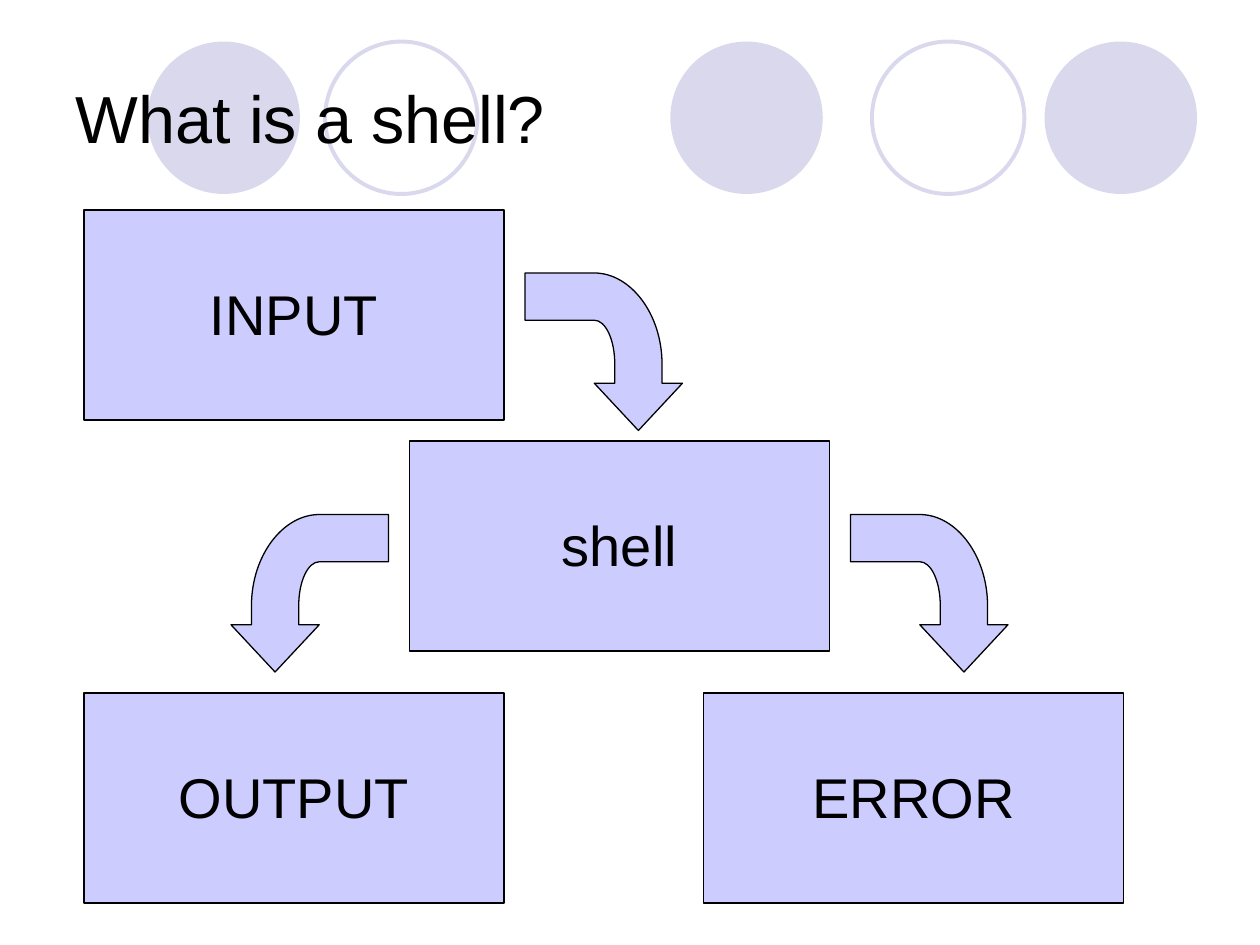
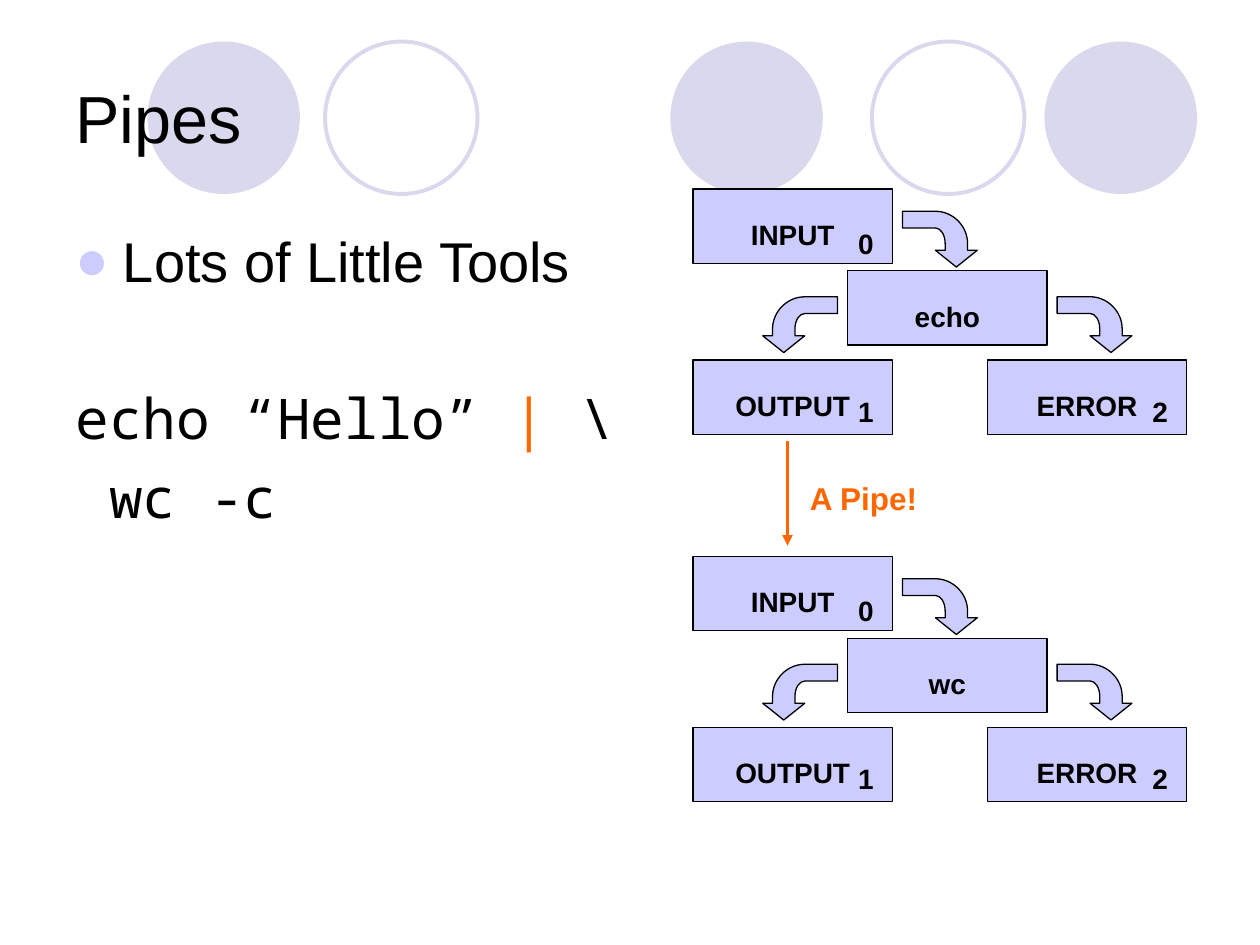
from lxml import etree
from pptx import Presentation, util as u
from pptx.dml.color import RGBColor
from pptx.enum import shapes, text
from pptx.oxml.ns import qn

BLACK = RGBColor(0, 0, 0)
LAVENDER = RGBColor(0xCC, 0xCC, 0xFF)
PALE = RGBColor(0xD9, 0xD8, 0xEC)
ORANGE = RGBColor(0xFF, 0x66, 0x00)
SANS, MONO = "Arial", "Noto Sans Mono"

CIRCLE_SIZE = 1.21
CIRCLES = [(5.32, True), (8.29, True), (1.17, True), (6.92, False), (2.58, False)]

SHELL_FLOW = dict(left=2 / 3, top=5 / 3, box=(10 / 3, 5 / 3), size=32, label_height=0.63)
PIPE_FLOW = dict(left=5.5, box=(19 / 12, 0.59), size=16, label_height=0.37, bold=True)
PIPE_STAGES = [("echo", 1.5), ("wc", 53 / 12)]
STREAM_NUMBERS = [("0", 0, 0.42), ("1", 0, 2.68), ("2", 1.475, 2.68)]

BULLET = "Lots of Little Tools"
COMMAND = [
    (51, [("echo “Hello” ", BLACK), ("|", ORANGE), (" \\", BLACK)]),
    (7, [(" wc -c", BLACK)]),
]

BOX_CELLS = [(0, 0), (0.775, 1.1), (0, 2.3), (1.475, 2.3)]
ARROW_CELLS = [(1.05, 0.3, False), (1.825, 1.45, False), (0.35, 1.45, True)]
ARROW_SHARE = (0.375, 0.75)
NUMBER_COLUMN, NUMBER_WIDTH = 0.74, 0.4

ARROW_TIP = (1, 0.28)
ARROW_SIDES = [
    [(0.7, 0), (0.7, 0.13), (0.58, 0.13)],
    [(0.26, 0.13), (0, 0.33), (0, 0.56)],
    [(0, 1), (0.3, 1), (0.3, 0.56)],
    [(0.3, 0.49), (0.42, 0.43), (0.58, 0.43)],
    [(0.7, 0.43), (0.7, 0.56)],
]


def inches(*lengths):
    return [u.Inches(length) for length in lengths]


def style(run, size, color=BLACK, font=SANS, bold=False):
    run.font.size, run.font.name, run.font.bold = u.Pt(size), font, bold
    run.font.color.rgb = color


def paint(shape, fill=None, line=None, weight=0.75):
    shape.shadow.inherit = False
    if fill is None:
        shape.fill.background()
    else:
        shape.fill.solid()
        shape.fill.fore_color.rgb = fill
    if line is None:
        shape.line.fill.background()
    else:
        shape.line.color.rgb = line
        shape.line.width = u.Pt(weight)


def add_label(slide, words, area, size, color=BLACK, bold=False,
              align=text.PP_ALIGN.CENTER):
    frame = slide.shapes.add_textbox(*inches(*area)).text_frame
    frame.word_wrap = True
    frame.text = words
    frame.paragraphs[0].alignment = align
    style(frame.paragraphs[0].runs[0], size, color, bold=bold)


def add_bent_arrow(slide, left, top, width, height, mirrored):
    length, breadth = height, width
    x0, y0 = left + (width - length) / 2, top + (height - breadth) / 2

    def place(point):
        x = 1 - point[0] if mirrored else point[0]
        return inches(x0 + x * length, y0 + point[1] * breadth)

    builder = slide.shapes.build_freeform(*place(ARROW_TIP))
    for side in ARROW_SIDES:
        builder.add_line_segments([place(point) for point in side], close=False)
    builder.add_line_segments([], close=True)
    arrow = builder.convert_to_shape()
    segments = list(arrow.element.iter(qn("a:lnTo")))
    for first in (3, 9):
        curve = etree.Element(qn("a:cubicBezTo"))
        segments[first].addprevious(curve)
        for segment in segments[first:first + 3]:
            curve.append(segment[0])
            segment.getparent().remove(segment)
    arrow.rotation = 270 if mirrored else 90
    paint(arrow, LAVENDER, BLACK)


def add_flow(slide, program, left, top, box, size, label_height, bold=False, numbers=()):
    width, height = box
    names = ["INPUT", program, "OUTPUT", "ERROR"]
    for name, (column, row) in zip(names, BOX_CELLS):
        x, y = left + column * width, top + row * height
        panel = slide.shapes.add_shape(
            shapes.MSO_SHAPE.RECTANGLE, *inches(x, y, width, height))
        paint(panel, LAVENDER, BLACK)
        add_label(slide, name, (x, y + 0.3 * height, width, label_height), size, bold=bold)
    for column, row, mirrored in ARROW_CELLS:
        add_bent_arrow(slide, left + column * width, top + row * height,
                       ARROW_SHARE[0] * width, ARROW_SHARE[1] * height, mirrored)
    for number, column, row in numbers:
        area = (left + (column + NUMBER_COLUMN) * width, top + row * height,
                NUMBER_WIDTH, label_height)
        add_label(slide, number, area, size, bold=bold)


def add_slide(deck, layout, heading):
    slide = deck.slides.add_slide(deck.slide_layouts[layout])
    title = slide.shapes.title
    title.left, title.top, title.width, title.height = inches(0.5, 0.3, 9, 1.25)
    title.text_frame.text = heading
    title.text_frame.vertical_anchor = text.MSO_ANCHOR.MIDDLE
    title.text_frame.paragraphs[0].alignment = text.PP_ALIGN.LEFT
    style(title.text_frame.paragraphs[0].runs[0], 38)
    return slide


def add_circles_to_master(deck, slide):
    for order, (left, filled) in enumerate(CIRCLES):
        circle = slide.shapes.add_shape(
            shapes.MSO_SHAPE.OVAL, *inches(left, 0.33, CIRCLE_SIZE, CIRCLE_SIZE))
        paint(circle, PALE if filled else None, None if filled else PALE, 2.25)
        circle.element.nvSpPr.cNvPr.set("id", str(20 + order))
        deck.slide_master.shapes.element.insert(2 + order, circle.element)


def set_bullet(paragraph, mark=None):
    props = paragraph._p.get_or_add_pPr()
    indent = u.Inches(0.375) if mark else 0
    props.set("marL", str(indent))
    props.set("indent", str(-indent))
    if mark:
        color = etree.SubElement(props, qn("a:buClr"))
        etree.SubElement(color, qn("a:srgbClr")).set("val", str(LAVENDER))
        etree.SubElement(props, qn("a:buFont")).set("typeface", SANS)
        etree.SubElement(props, qn("a:buChar")).set("char", mark)
    else:
        etree.SubElement(props, qn("a:buNone"))


def fill_body(body):
    body.left, body.top, body.width, body.height = inches(0.5, 1.75, 9, 4.95)
    frame = body.text_frame
    frame.auto_size = text.MSO_AUTO_SIZE.NONE
    frame.text = BULLET
    topic = frame.paragraphs[0]
    topic.space_before = u.Pt(0)
    set_bullet(topic, "●")
    style(topic.runs[0], 32)
    for gap, pieces in COMMAND:
        line = frame.add_paragraph()
        line.space_before = u.Pt(gap)
        set_bullet(line)
        for words, color in pieces:
            run = line.add_run()
            run.text = words
            style(run, 32, color, MONO)


def add_pipe(slide):
    pipe = slide.shapes.add_connector(
        shapes.MSO_CONNECTOR.STRAIGHT, *inches(6.25, 3.5, 6.25, 4.33))
    pipe.line.color.rgb = ORANGE
    pipe.line.width = u.Pt(2)
    etree.SubElement(pipe.line._get_or_add_ln(), qn("a:tailEnd")).set("type", "triangle")
    etree.SubElement(pipe.element.spPr, qn("a:effectLst"))
    add_label(slide, "A Pipe!", (6.33, 3.75, 2.83, 0.4), 18, ORANGE, True,
              text.PP_ALIGN.LEFT)


deck = Presentation()
deck.slide_width, deck.slide_height = inches(10, 7.5)

shell = add_slide(deck, 5, "What is a shell?")
add_circles_to_master(deck, shell)
add_flow(shell, "shell", **SHELL_FLOW)

pipes = add_slide(deck, 1, "Pipes")
fill_body(pipes.placeholders[1])
for program, top in PIPE_STAGES:
    add_flow(pipes, program, top=top, numbers=STREAM_NUMBERS, **PIPE_FLOW)
add_pipe(pipes)

deck.save("out.pptx")
